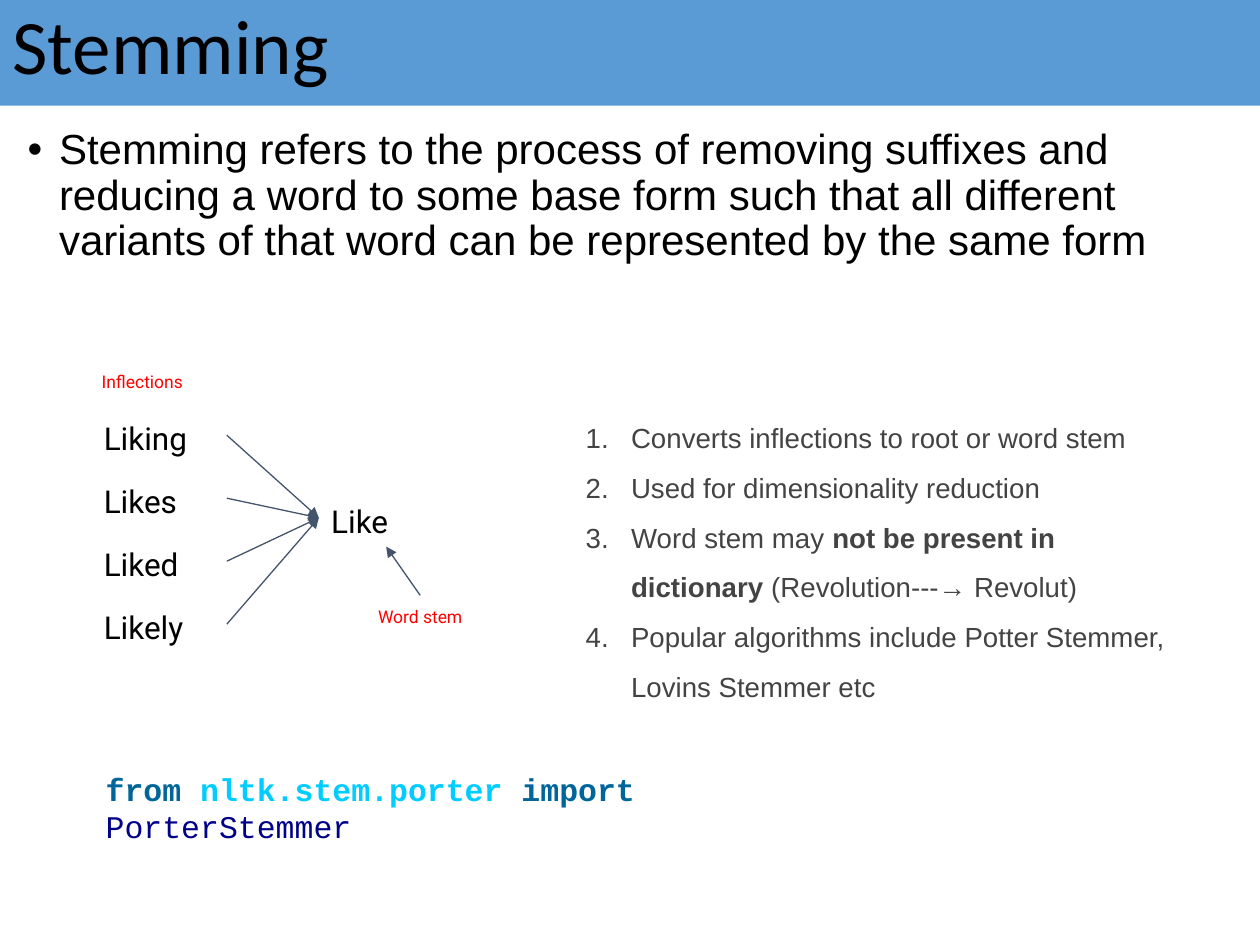
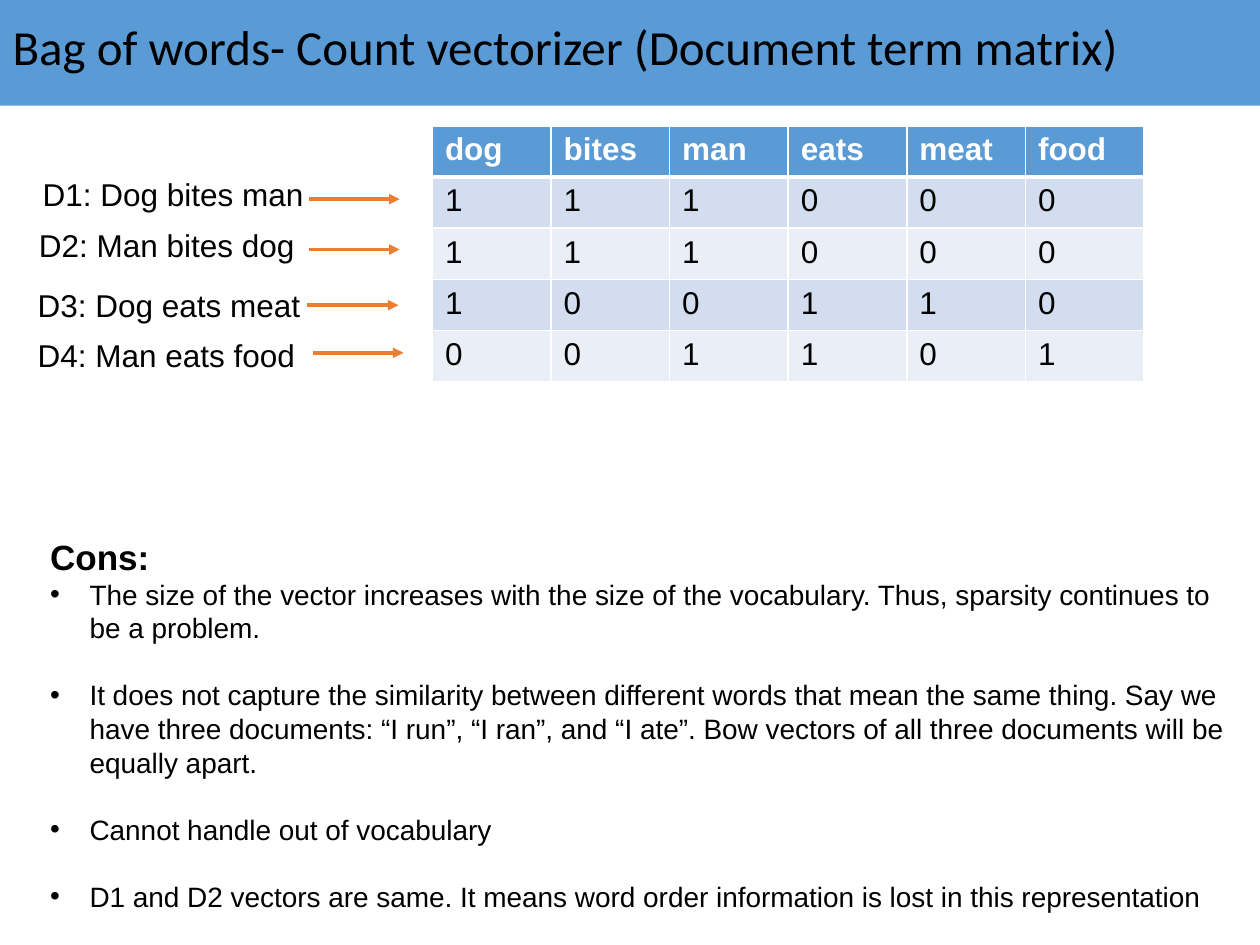
from lxml import etree
from pptx import Presentation
from pptx.dml.color import RGBColor
from pptx.enum import shapes, text
from pptx.oxml import ns
from pptx.util import Pt

BLACK = RGBColor(0, 0, 0)
WHITE = RGBColor(255, 255, 255)
RED = RGBColor(255, 0, 0)
BLUE = RGBColor(0x5B, 0x9B, 0xD5)
BAND_DARK = RGBColor(0xD2, 0xDE, 0xEF)
BAND_LIGHT = RGBColor(0xEA, 0xEF, 0xF7)
GREY = RGBColor(0x43, 0x43, 0x43)
SLATE = RGBColor(0x44, 0x54, 0x6A)
ORANGE = RGBColor(0xED, 0x7D, 0x31)
KEYWORD = RGBColor(0, 0x66, 0x9A)
MODULE = RGBColor(0, 0xCD, 0xFF)
CLASS_NAME = RGBColor(0, 0, 0x89)

BODY = {"name": "Arial", "size": Pt(18), "color": BLACK}
WORD = {"name": "Roboto", "size": Pt(18), "color": BLACK}
CAPTION = {"name": "Roboto", "size": Pt(10), "color": RED}
CODE = {"name": "Courier New", "size": Pt(18), "bold": True}
LIST_ITEM = {**BODY, "size": Pt(15.8), "color": GREY}
CON = {**BODY, "size": Pt(16)}

LEFT = text.PP_ALIGN.LEFT
WIDE_INSET = 7.2


def points(*values):
    return [Pt(value) for value in values]


def set_values(target, values):
    for name, value in values.items():
        setattr(target, name, value)


def set_font(font, values):
    set_values(font, {key: value for key, value in values.items() if key != "color"})
    font.color.rgb = values["color"]


def add_xml(parent, tag, **attributes):
    return etree.SubElement(parent, ns.qn(tag), attributes)


# Text
def write_runs(paragraph, runs, **layout):
    """Fill a paragraph with (text, font values) pairs."""
    set_values(paragraph, layout)
    for words, font in runs:
        run = paragraph.add_run()
        run.text = words
        set_font(run.font, font)


def add_marker(paragraph, indent, hanging, number_color=None):
    """Give a paragraph a bullet, or a number if a number colour is given."""
    properties = paragraph._p.get_or_add_pPr()
    properties.set("marL", str(Pt(indent)))
    properties.set("indent", str(-Pt(hanging)))
    if number_color is None:
        add_xml(properties, "a:buFont", typeface="Arial")
        add_xml(properties, "a:buChar", char="•")
    else:
        color = add_xml(properties, "a:buClr")
        add_xml(color, "a:srgbClr", val=str(number_color))
        add_xml(properties, "a:buFont", typeface="Arial")
        add_xml(properties, "a:buAutoNum", type="arabicPeriod")


def add_text_box(slide, box, inset=3.6):
    shape = slide.shapes.add_textbox(*points(*box))
    set_values(shape.text_frame, {
        "word_wrap": True,
        "margin_top": Pt(inset),
        "margin_bottom": Pt(inset),
    })
    return shape


def add_label(slide, box, words, font, alignment=LEFT, **options):
    shape = add_text_box(slide, box, **options)
    write_runs(shape.text_frame.paragraphs[0], [(words, font)], alignment=alignment)
    return shape


def next_paragraph(frame):
    first = frame.paragraphs[0]
    return frame.add_paragraph() if first.runs else first


# Title band shared by the slides
def add_titled_slide(presentation, words, size):
    slide = presentation.slides.add_slide(presentation.slide_layouts[5])
    title = slide.shapes.title
    set_values(title, dict(zip(("left", "top", "width", "height"),
                               points(0, -3.6, 720, 64))))
    title.fill.solid()
    title.fill.fore_color.rgb = BLUE
    set_values(title.text_frame, {
        "auto_size": text.MSO_AUTO_SIZE.NONE,
        "vertical_anchor": text.MSO_ANCHOR.MIDDLE,
        "word_wrap": True,
    })
    font = {"name": "Calibri", "size": Pt(size), "color": BLACK}
    write_runs(title.text_frame.paragraphs[0], [(words, font)],
               alignment=LEFT, line_spacing=0.9)
    return slide


# Arrows
def add_arrow(slide, color, width, ends=(0, 0, 0, 0)):
    arrow = slide.shapes.add_connector(shapes.MSO_CONNECTOR.STRAIGHT, *points(*ends))
    arrow.line.color.rgb = color
    arrow.line.width = Pt(width)
    add_xml(arrow.line._get_or_add_ln(), "a:tailEnd", type="triangle")
    add_xml(arrow._element.spPr, "a:effectLst")
    return arrow


def join(slide, start, start_side, end, end_side):
    arrow = add_arrow(slide, SLATE, 0.75)
    arrow.begin_connect(start, start_side)
    arrow.end_connect(end, end_side)


# Table
def style_cell(cell, fill, font, top, bottom):
    properties = cell._tc.get_or_add_tcPr()
    for side, width in zip("LRTB", (1, 1, top, bottom)):
        line = add_xml(properties, f"a:ln{side}", w=str(Pt(width)))
        add_xml(add_xml(line, "a:solidFill"), "a:srgbClr", val=str(WHITE))
    cell.fill.solid()
    cell.fill.fore_color.rgb = fill
    set_font(cell.text_frame.paragraphs[0].runs[0].font, font)


def add_matrix(slide, rows, box):
    frame = slide.shapes.add_table(len(rows), len(rows[0]), *points(*box))
    table = frame.table
    set_values(table, {"first_row": False, "horz_banding": False})
    header = {**BODY, "color": WHITE, "bold": True}
    for r, row in enumerate(rows):
        fill = BLUE if r == 0 else BAND_DARK if r % 2 else BAND_LIGHT
        for c, value in enumerate(row):
            cell = table.cell(r, c)
            cell.text = value
            style_cell(cell, fill, BODY if r else header,
                       top=3 if r == 1 else 1, bottom=1 if r else 3)


def build_stemming(presentation):
    slide = add_titled_slide(presentation, "Stemming", 44)

    # Definition
    definition = add_label(
        slide, (8.64, 69.84, 702, 110),
        "Stemming refers to the process of removing suffixes and reducing a word to some "
        "base form such that all different variants of that word can be represented by "
        "the same form", {**BODY, "size": Pt(24)})
    paragraph = definition.text_frame.paragraphs[0]
    add_marker(paragraph, 18, 18)
    paragraph.line_spacing = 0.9

    # Numbered properties
    bold = {**LIST_ITEM, "bold": True}
    items = [
        [("Converts inflections to root or word stem", LIST_ITEM)],
        [("Used for dimensionality reduction", LIST_ITEM)],
        [("Word stem may ", LIST_ITEM), ("not be present in dictionary ", bold),
         ("(Revolution---→ Revolut)", LIST_ITEM)],
        [("Popular algorithms include Potter Stemmer, Lovins Stemmer etc", LIST_ITEM)],
    ]
    frame = add_text_box(slide, (317.5, 223.9, 370, 193.7), WIDE_INSET).text_frame
    for runs in items:
        paragraph = next_paragraph(frame)
        add_marker(paragraph, 36, 25.9, GREY)
        write_runs(paragraph, runs, line_spacing=1.5)

    # Inflections leading to their stem
    stem = add_label(slide, (182.2, 279.4, 77, 33), "Like", WORD, inset=WIDE_INSET)
    for i, word in enumerate(("Liking", "Likes", "Liked", "Likely")):
        box = add_label(slide, (52.2, 232.2 + 36 * i, 77.4, 33), word, WORD,
                        inset=WIDE_INSET)
        join(slide, box, 3, stem, 1)
    center = text.PP_ALIGN.CENTER
    add_label(slide, (42.8, 206.2, 77, 47), "Inflections", CAPTION, center,
              inset=WIDE_INSET)
    caption = add_label(slide, (201.6, 340.2, 77, 47), "Word stem", CAPTION, center,
                        inset=WIDE_INSET)
    join(slide, caption, 0, stem, 2)

    # Import statement
    code = add_text_box(slide, (53.3, 436.3, 451.4, 50))
    write_runs(code.text_frame.paragraphs[0], [
        ("from ", {**CODE, "color": KEYWORD}),
        ("nltk.stem.porter ", {**CODE, "color": MODULE}),
        ("import ", {**CODE, "color": KEYWORD}),
        ("PorterStemmer", {**CODE, "color": CLASS_NAME, "bold": False}),
    ])


def build_bag_of_words(presentation):
    slide = add_titled_slide(
        presentation, "Bag of words- Count vectorizer (Document term matrix)", 28)

    # Document term matrix
    rows = [("dog", "bites", "man", "eats", "meat", "food"),
            "111000", "111000", "100110", "001101"]
    add_matrix(slide, rows, (247.1, 72, 406.8, 146))

    # Documents: words, left and top of the label, start and height of the arrow
    documents = [
        ("D1: Dog bites man", 17.3, 96.5, 176.4, 113.8),
        ("D2: Man bites dog", 15.1, 125.5, 176.4, 142.6),
        ("D3: Dog eats meat", 14.4, 159.8, 175.7, 174.4),
        ("D4: Man eats food", 14.4, 188.6, 178.6, 201.6),
    ]
    for words, left, top, start, height in documents:
        add_label(slide, (left, top, 170, 29), words, BODY)
        add_arrow(slide, ORANGE, 2, (start, height, start + 52, height))

    # Cons
    cons = [
        "The size of the vector increases with the size of the vocabulary. Thus, sparsity "
        "continues to be a problem.",
        "It does not capture the similarity between different words that mean the same "
        "thing. Say we have three documents: “I run”, “I ran”, and “I ate”. Bow vectors of "
        "all three documents will be equally apart.",
        "Cannot handle out of vocabulary",
        "D1 and D2 vectors are same. It means word order information is lost in this "
        "representation",
    ]
    box = add_label(slide, (21.6, 302.4, 698.4, 225.4), "Cons:",
                    {**BODY, "size": Pt(20), "bold": True})
    for i, con in enumerate(cons):
        paragraph = box.text_frame.add_paragraph()
        add_marker(paragraph, 22.5, 22.5)
        write_runs(paragraph, [(con, CON)], space_before=Pt(19.1 if i else 0))


def main():
    presentation = Presentation()
    set_values(presentation, {"slide_width": Pt(720), "slide_height": Pt(540)})
    build_stemming(presentation)
    build_bag_of_words(presentation)
    presentation.save("out.pptx")


if __name__ == "__main__":
    main()
